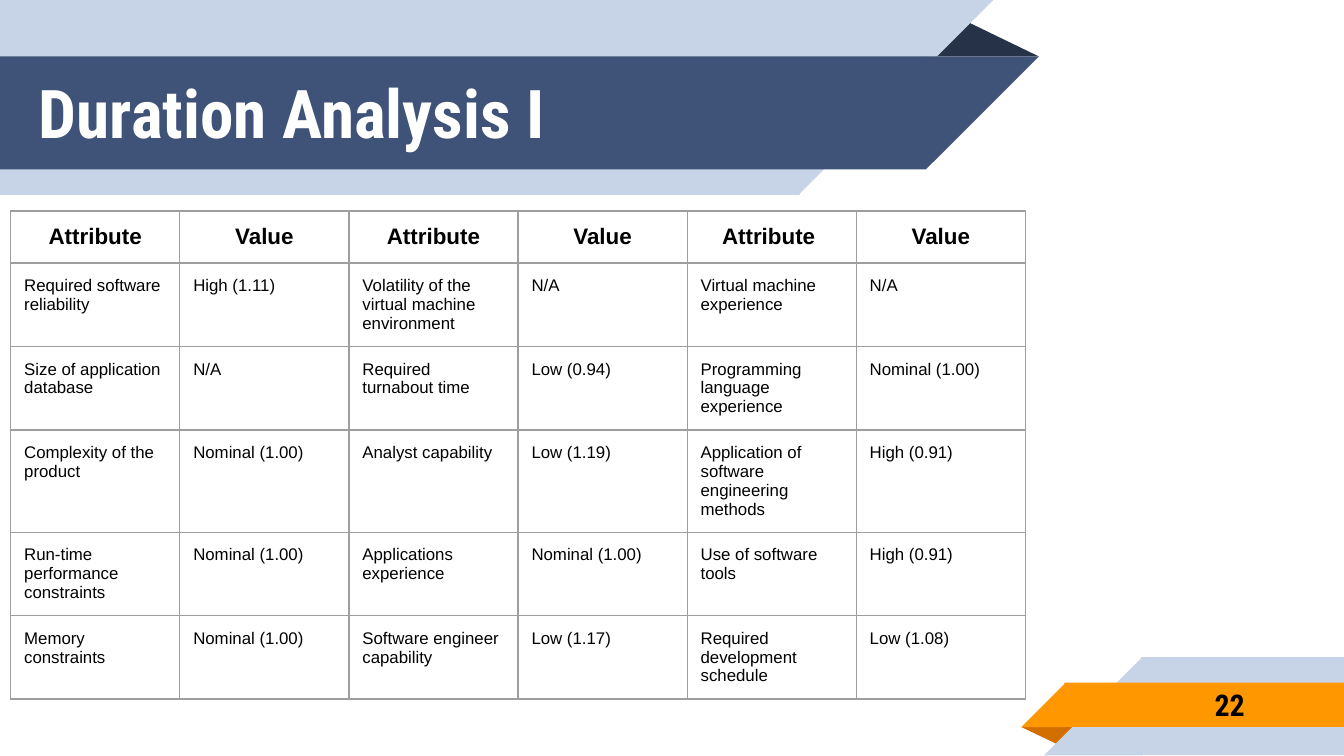
from dataclasses import dataclass
from lxml.etree import SubElement
from pptx import Presentation
from pptx.dml.color import RGBColor as Color
from pptx.enum.shapes import MSO_SHAPE as Shape
from pptx.enum.text import MSO_ANCHOR as Anchor, PP_ALIGN as Align
from pptx.oxml.ns import qn
from pptx.util import Inches, Pt


@dataclass(frozen=True)
class Theme:
    pale: str = "C7D3E6"
    navy: str = "3F5378"
    navy_fold: str = "263248"
    orange: str = "FF9800"
    orange_fold: str = "D26F00"
    white: str = "FFFFFF"
    black: str = "000000"
    grid: str = "9E9E9E"
    display: str = "Roboto Condensed"
    body: str = "Arial"
    title_size: int = 36
    number_size: int = 16
    header_size: int = 12
    cell_size: int = 9


theme = Theme()


def format_text(frame, font, size, color, bold, align=Align.LEFT):
    frame.word_wrap = True
    frame.margin_left = frame.margin_right = Inches(0.1)
    frame.margin_top = frame.margin_bottom = Inches(0.1)
    for para in frame.paragraphs:
        para.alignment = align
        for span in para.runs:
            span.font.name = font
            span.font.size = Pt(size)
            span.font.bold = bold
            span.font.color.rgb = Color.from_string(color)


def draw_cell_borders(cell):
    properties = cell._tc.get_or_add_tcPr()
    for index, side in enumerate(("a:lnL", "a:lnR", "a:lnT", "a:lnB")):
        line = SubElement(properties, qn(side), w=str(Pt(0.75)))
        fill = SubElement(line, qn("a:solidFill"))
        SubElement(fill, qn("a:srgbClr"), val=theme.grid)
        properties.insert(index, line)


deck = Presentation()
deck.slide_width = Inches(10)
deck.slide_height = Inches(10) * 9 // 16
page = deck.slides.add_slide(deck.slide_layouts[5])

ribbons = [
    (Shape.ISOSCELES_TRIANGLE, 6.88, 0.14, 0.85, 0.28, theme.navy_fold, 0, False),
    (Shape.RECTANGLE, 0, 0, 5.95, 1.45, theme.pale, 180, True),
    (Shape.RIGHT_TRIANGLE, 5.94, 0, 1.45, 1.45, theme.pale, 180, True),
    (Shape.RECTANGLE, 0, 0.42, 6.89, 0.84, theme.navy, 180, True),
    (Shape.RIGHT_TRIANGLE, 6.89, 0.42, 0.84, 0.84, theme.navy, 180, True),
    (Shape.ISOSCELES_TRIANGLE, 7.6, 5.41, 0.43, 0.14, theme.orange_fold, 180, False),
    (Shape.RECTANGLE, 8.49, 4.89, 1.51, 0.73, theme.pale, 0, True),
    (Shape.RIGHT_TRIANGLE, 7.77, 4.89, 0.73, 0.73, theme.pale, 0, True),
    (Shape.RECTANGLE, 7.92, 5.08, 2.08, 0.33, theme.orange, 0, True),
    (Shape.RIGHT_TRIANGLE, 7.6, 5.08, 0.33, 0.33, theme.orange, 0, True),
]
for kind, left, top, width, height, color, rotation, flipped in ribbons:
    ribbon = page.shapes.add_shape(kind, Inches(left), Inches(top), Inches(width), Inches(height))
    ribbon.shadow.inherit = False
    ribbon.fill.solid()
    ribbon.fill.fore_color.rgb = Color.from_string(color)
    ribbon.line.fill.background()
    ribbon.rotation = rotation
    if flipped:
        ribbon.element.spPr.find(qn("a:xfrm")).set("flipH", "1")
    if kind == Shape.ISOSCELES_TRIANGLE:
        ribbon.adjustments[0] = 0.32

title = page.shapes.title
title.left, title.top = Inches(0.19), Inches(0.41)
title.width, title.height = Inches(6.01), Inches(0.84)
title.text_frame.text = "Duration Analysis I"
title.text_frame.vertical_anchor = Anchor.MIDDLE
format_text(title.text_frame, theme.display, theme.title_size, theme.white, True)
page.shapes._spTree.append(title.element)

rows = [
    ("Attribute", "Value", "Attribute", "Value", "Attribute ", "Value"),
    ("Required software reliability", "High (1.11)",
     "Volatility of the virtual machine environment", "N/A",
     "Virtual machine experience", "N/A"),
    ("Size of application database", "N/A",
     "Required turnabout time", "Low (0.94)",
     "Programming language experience", "Nominal (1.00)"),
    ("Complexity of the product", "Nominal (1.00)",
     "Analyst capability", "Low (1.19)",
     "Application of software engineering methods", "High (0.91)"),
    ("Run-time performance constraints", "Nominal (1.00)",
     "Applications experience", "Nominal (1.00)",
     "Use of software tools", "High (0.91)"),
    ("Memory constraints", "Nominal (1.00)",
     "Software engineer capability", "Low (1.17)",
     "Required development schedule", "Low (1.08)"),
]
row_heights = [0.38, 0.62, 0.62, 0.76, 0.62, 0.62]
table_width = Inches(7.55)
table = page.shapes.add_table(
    len(rows), len(rows[0]), Inches(0.08), Inches(1.57),
    table_width, Inches(sum(row_heights)),
).table
table.first_row = table.horz_banding = False
for column in table.columns:
    column.width = table_width // len(rows[0])
for row_index, (texts, height) in enumerate(zip(rows, row_heights)):
    table.rows[row_index].height = Inches(height)
    header = row_index == 0
    for column_index, text in enumerate(texts):
        cell = table.cell(row_index, column_index)
        cell.text_frame.text = text
        cell.margin_left = cell.margin_right = Inches(0.1)
        cell.margin_top = cell.margin_bottom = Inches(0.1)
        cell.fill.background()
        draw_cell_borders(cell)
        format_text(
            cell.text_frame, theme.body,
            theme.header_size if header else theme.cell_size,
            theme.black, header, Align.CENTER if header else Align.LEFT,
        )

number = page.shapes.add_textbox(Inches(8.94), Inches(5.01), Inches(0.56), Inches(0.3))
number.text_frame.text = "22"
format_text(number.text_frame, theme.display, theme.number_size, theme.black, True)

deck.save("out.pptx")
